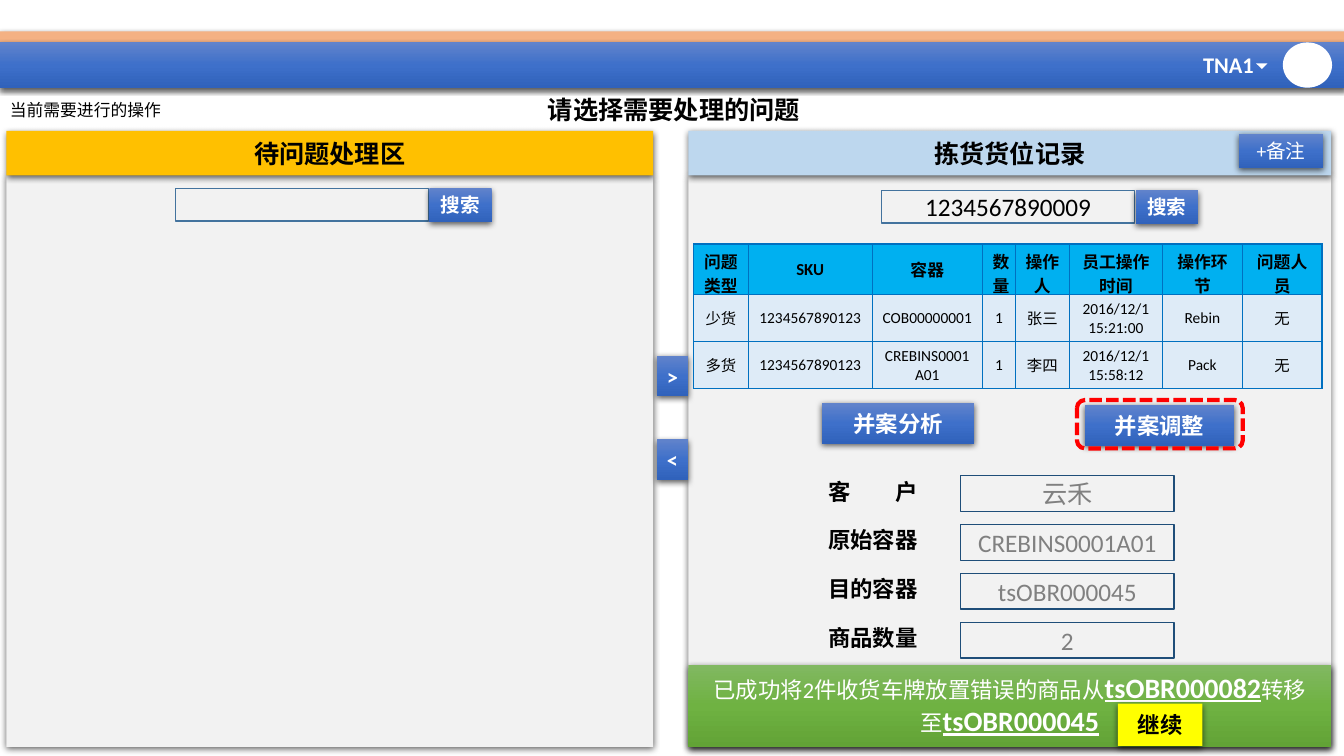
import copy
from dataclasses import dataclass

import lxml.etree
import pptx
import pptx.dml.color
import pptx.enum.dml
import pptx.enum.shapes
import pptx.enum.text
import pptx.oxml
import pptx.oxml.ns
import pptx.util

Cm = pptx.util.Cm
qn = pptx.oxml.ns.qn
SHAPE = pptx.enum.shapes.MSO_SHAPE
ANCHOR = pptx.enum.text.MSO_ANCHOR
ALIGN = pptx.enum.text.PP_ALIGN
A_NS = 'xmlns:a="http://schemas.openxmlformats.org/drawingml/2006/main"'


@dataclass(frozen=True)
class Theme:
    font: str = "Calibri"
    # Type sizes
    cell: int = 11
    small: int = 12
    button: int = 14
    body: int = 16
    title: int = 18
    code: int = 20
    # Colours; a tuple is a gradient from top to bottom
    black: str = "000000"
    white: str = "FFFFFF"
    grey: str = "808080"
    panel: str = "F2F2F2"
    peach: str = "F4B183"
    amber: str = "FFC000"
    sky: str = "BDD7EE"
    yellow: str = "FFFF00"
    red: str = "FF0000"
    search_line: str = "43739E"
    field_line: str = "1F4E79"
    grid: str = "0070C0"
    head: str = "00B0F0"
    row: str = "DEEBF7"
    blue: tuple = ("6183CB", "3E70CA", "3062BB")
    green: tuple = ("81B861", "6FB242", "62A336")


def rgb(value):
    return pptx.dml.color.RGBColor.from_string(value)


def write(p, text, size=16, color="000000", bold=False, underline=False,
          font="Calibri", spacing=None):
    """Add one formatted run to a paragraph."""
    r = p.add_run()
    r.text = text
    r.font.name = font
    r.font.size = pptx.util.Pt(size)
    r.font.bold = bold
    r.font.underline = underline
    r.font.color.rgb = rgb(color)
    if spacing:
        r.font._element.set("spc", str(spacing * 100))


class Screen:
    def __init__(self, slide, theme):
        self.s = slide
        self.t = theme

    def paint(self, sp, fill):
        if fill is None:
            sp.fill.background()
        elif isinstance(fill, str):
            sp.fill.solid()
            sp.fill.fore_color.rgb = rgb(fill)
        else:
            sp.fill.gradient()
            sp.fill.gradient_angle = 270
            gs_list = sp._element.spPr.find(f".//{qn('a:gsLst')}")
            gs_list.append(copy.deepcopy(gs_list[-1]))
            for i, (stop, color) in enumerate(zip(sp.fill.gradient_stops, fill)):
                stop.color.rgb = rgb(color)
                stop.position = i / 2

    def shape(self, x, y, w, h, fill=None, line=None, width=1, shadow=False,
              kind=SHAPE.RECTANGLE):
        sp = self.s.shapes.add_shape(kind, Cm(x), Cm(y), Cm(w), Cm(h))
        self.paint(sp, fill)
        if line:
            sp.line.color.rgb = rgb(line)
            sp.line.width = pptx.util.Pt(width)
        else:
            sp.line.fill.background()
        sp.shadow.inherit = False
        if shadow:
            sp._element.spPr.find(qn("a:effectLst")).append(pptx.oxml.parse_xml(
                f'<a:outerShdw {A_NS} blurRad="57150" dist="19050" dir="5400000" '
                'algn="ctr" rotWithShape="0"><a:srgbClr val="000000">'
                '<a:alpha val="63000"/></a:srgbClr></a:outerShdw>'))
        return sp

    def box(self, x, y, w, h, text, fill=None, line=None, shadow=True,
            anchor=ANCHOR.MIDDLE, **fmt):
        """Rectangle with one centred line of text."""
        sp = self.shape(x, y, w, h, fill, line, shadow=shadow)
        tf = sp.text_frame
        tf.word_wrap = True
        tf.vertical_anchor = anchor
        tf.paragraphs[0].alignment = ALIGN.CENTER
        write(tf.paragraphs[0], text, **fmt)

    def button(self, x, y, w, h, text, size, bold=True, anchor=ANCHOR.MIDDLE):
        self.box(x, y, w, h, text, self.t.blue, anchor=anchor, size=size,
                 bold=bold, color=self.t.white)

    def label(self, x, y, w, h, text, align=ALIGN.LEFT, wrap=True,
              anchor=ANCHOR.TOP, line_spacing=None, spacing=None, **fmt):
        """Text box; spacing opens a gap after the first character."""
        tf = self.s.shapes.add_textbox(Cm(x), Cm(y), Cm(w), Cm(h)).text_frame
        tf.word_wrap = wrap
        tf.vertical_anchor = anchor
        p = tf.paragraphs[0]
        p.alignment = align
        p.line_spacing = line_spacing
        if spacing:
            write(p, text[0], spacing=spacing, **fmt)
            text = text[1:]
        write(p, text, **fmt)

    def panel(self, x, w, title, fill):
        self.shape(x, 4.42, w, 14.4, self.t.panel, shadow=True)
        self.box(x, 3.3, w, 1.12, title, fill, size=self.t.title, bold=True)

    def search(self, x, y, text=""):
        self.box(x, y, 6.38, 0.82, text, line=self.t.search_line, shadow=False,
                 size=self.t.title) if text else self.shape(
                     x, y, 6.38, 0.82, line=self.t.search_line)
        self.button(x + 6.4, y, 1.57, 0.84, "搜索", self.t.button)

    def message(self, x, y, w, h, lines):
        """Banner whose lines are lists of (text, is_code) pairs."""
        tf = self.shape(x, y, w, h, self.t.green, shadow=True).text_frame
        tf.word_wrap = True
        tf.vertical_anchor = ANCHOR.TOP
        for i, parts in enumerate(lines):
            p = tf.add_paragraph() if i else tf.paragraphs[0]
            p.alignment = ALIGN.CENTER
            for text, is_code in parts:
                write(p, text, size=self.t.code if is_code else self.t.body,
                      color=self.t.white, bold=is_code, underline=is_code)

    def table(self, x, y, h, widths, heights, rows):
        gf = self.s.shapes.add_table(len(rows), len(widths), Cm(x), Cm(y),
                                     Cm(sum(widths)), Cm(h))
        tbl = gf.table
        tbl.horz_banding = False
        for col, width in zip(tbl.columns, widths):
            col.width = Cm(width)
        for row, height in zip(tbl.rows, heights):
            row.height = Cm(height)
        gf.height = Cm(h)
        for i, row in enumerate(rows):
            for j, text in enumerate(row):
                self.cell(tbl.cell(i, j), text, is_head=i == 0)

    def cell(self, cell, text, is_head):
        cell.fill.solid()
        cell.fill.fore_color.rgb = rgb(self.t.head if is_head else self.t.row)
        cell.vertical_anchor = ANCHOR.MIDDLE
        for i, line in enumerate(text.split("\n")):
            tf = cell.text_frame
            p = tf.add_paragraph() if i else tf.paragraphs[0]
            p.alignment = ALIGN.CENTER
            write(p, line, size=self.t.small if is_head else self.t.cell, bold=is_head)
        for i, side in enumerate("LRTB"):
            cell._tc.tcPr.insert(i, pptx.oxml.parse_xml(
                f'<a:ln{side} {A_NS} w="12700"><a:solidFill>'
                f'<a:srgbClr val="{self.t.grid}"/></a:solidFill></a:ln{side}>'))


def main():
    prs = pptx.Presentation()
    prs.slide_width, prs.slide_height = Cm(33.87), Cm(19.05)
    t = Theme()
    scr = Screen(prs.slides.add_slide(prs.slide_layouts[6]), t)

    # Top bar with the user menu
    scr.shape(0, 0.79, 33.87, 0.28, t.peach, shadow=True)
    scr.shape(0, 1.07, 33.87, 1.14, t.blue, shadow=True)
    scr.shape(32.33, 1.07, 1.24, 1.14, t.white, kind=SHAPE.OVAL)
    scr.label(30.07, 1.17, 1.8, 0.94, "TNA1", wrap=False, size=t.body,
              color=t.white, bold=True)
    arrow = scr.shape(31.7, 1.5, 0.2, 0.2, t.white, kind=SHAPE.RIGHT_TRIANGLE)
    arrow.rotation = 314.5

    # Panels and heading
    scr.panel(0.16, 16.3, "待问题处理区", t.amber)
    scr.panel(17.35, 16.2, "拣货货位记录", t.sky)
    scr.label(0, 2.26, 4.57, 1.02, "当前需要进行的操作", anchor=ANCHOR.MIDDLE,
              size=t.small)
    scr.label(0.05, 2.26, 33.87, 1.02, "请选择需要处理的问题", ALIGN.CENTER,
              anchor=ANCHOR.MIDDLE, size=t.title, bold=True)
    scr.button(31.22, 3.38, 2.13, 0.86, "+备注", t.button, bold=False,
               anchor=ANCHOR.TOP)

    # Search bars and transfer buttons
    scr.search(4.42, 4.75)
    scr.search(22.22, 4.8, "1234567890009")
    for y, sign in ((8.97, ">"), (11.07, "<")):
        scr.button(16.55, y, 0.79, 1.02, sign, t.body)

    # Records
    scr.table(17.48, 6.15, 3.63, (1.38, 3.12, 2.78, 0.83, 1.36, 2.35, 2.01, 2.01),
              (1.02, 1.18, 1.18), (
        ("问题类型", "SKU", "容器", "数量", "操作人", "员工操作时间", "操作环节", "问题人员"),
        ("少货", "1234567890123", "COB00000001", "1", "张三",
         "2016/12/1\n15:21:00", "Rebin", "无"),
        ("多货", "1234567890123", "CREBINS0001A01", "1", "李四",
         "2016/12/1\n15:58:12", "Pack", "无")))

    # Actions, the second one highlighted
    scr.button(20.72, 10.16, 3.84, 1.02, "并案分析", t.body)
    scr.button(27.34, 10.21, 3.76, 1.02, "并案调整", t.body)
    frame = scr.shape(27.14, 10.08, 4.18, 1.22, line=t.red, width=3,
                      kind=SHAPE.ROUNDED_RECTANGLE)
    frame.line.dash_style = pptx.enum.dml.MSO_LINE.SQUARE_DOT

    # Form fields
    fields = (("客户", "云禾"), ("原始容器", "CREBINS0001A01"),
              ("目的容器", "tsOBR000045"), ("商品数量", "2"))
    for i, (name, value) in enumerate(fields):
        y = 11.99 + 1.23 * i
        scr.label(20.62, y, 3.91, 0.99, name, line_spacing=0.9, size=t.body,
                  bold=True, spacing=32 if len(name) == 2 else None)
        scr.box(24.21, y, 5.38, 0.9, value, line=t.field_line, shadow=False,
                size=t.title, color=t.grey)

    # Result message
    scr.message(17.35, 16.76, 16.2, 2.06, (
        (("已成功将2件收货车牌放置错误的商品从", False), ("tsOBR000082", True),
         ("转移", False)),
        (("至", False), ("tsOBR000045", True))))
    scr.box(28.17, 17.73, 2.13, 1.07, "继续", t.yellow, size=t.body, bold=True)

    prs.save("out.pptx")


if __name__ == "__main__":
    main()
